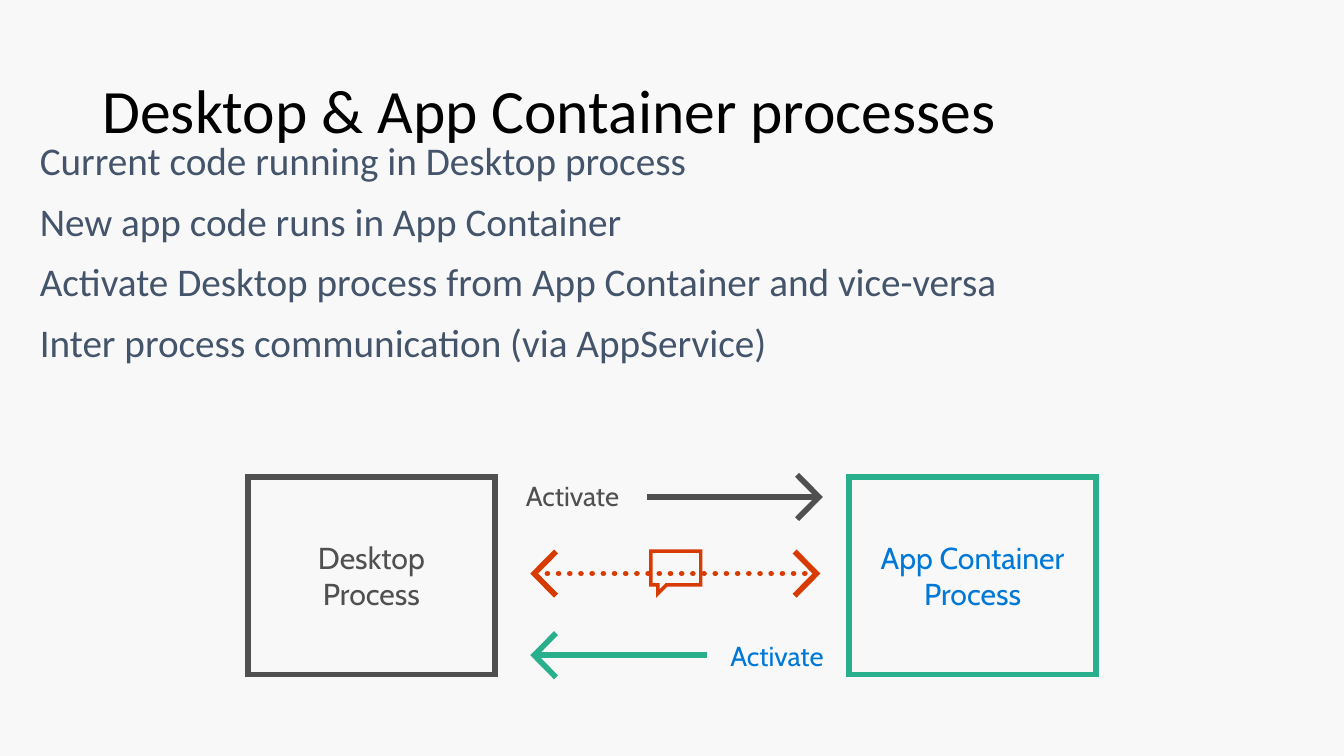
"""Slide on desktop and app container processes that activate each other."""
from lxml.etree import SubElement
from pptx import Presentation
from pptx.dml.color import RGBColor
from pptx.enum.dml import MSO_LINE
from pptx.enum.shapes import MSO_CONNECTOR, MSO_SHAPE
from pptx.enum.text import MSO_ANCHOR, PP_ALIGN
from pptx.oxml.ns import qn
from pptx.util import Pt

GRAY, GREEN, RED, BLUE = "505050", "29AF8C", "D83B01", "0078D7"


def style_font(p, name, size, color):
    for r in p.runs:
        r.font.name = name
        r.font.size = Pt(size)
        r.font.color.rgb = RGBColor.from_string(color)


def style_line(sp, color, dash=None):
    sp.line.color.rgb = RGBColor.from_string(color)
    sp.line.width = Pt(4)
    ln = sp._element.spPr.find(qn("a:ln"))
    if dash:
        sp.line.dash_style = dash
        ln.set("cap", "rnd")
    SubElement(ln, qn("a:miter"), lim="800000")
    SubElement(sp._element.spPr, qn("a:effectLst"))


prs = Presentation()
prs.slide_width, prs.slide_height = Pt(960), Pt(540)
s = prs.slides.add_slide(prs.slide_layouts[1])
s.background.fill.solid()
s.background.fill.fore_color.rgb = RGBColor.from_string("F8F8F8")

title, body = s.placeholders
title.left, title.top, title.width, title.height = Pt(66), Pt(28.8), Pt(828), Pt(104.4)
tf = title.text_frame
tf.text = "Desktop & App Container processes"
tf.vertical_anchor = MSO_ANCHOR.MIDDLE
p = tf.paragraphs[0]
p.alignment = PP_ALIGN.LEFT
p.line_spacing = 0.9
style_font(p, "Calibri", 44, "000000")

body.left, body.top, body.width, body.height = Pt(21.2), Pt(93.6), Pt(926.6), Pt(215.3)
tf = body.text_frame
tf.text = "\n".join([
    "Current code running in Desktop process",
    "New app code runs in App Container",
    "Activate Desktop process from App Container and vice-versa",
    "Inter process communication (via AppService)",
])
for p in tf.paragraphs:
    pPr = p._p.get_or_add_pPr()
    pPr.set("marL", "0")
    pPr.set("indent", "0")
    p.space_before = Pt(0)
    p.space_after = Pt(9.8)
    SubElement(pPr, qn("a:buNone"))
    style_font(p, "Calibri", 28, "44546A")

for x, y, w, h, color in [(361.2, 329.2, 106.6, 49.7, GRAY), (507.3, 442, 98.6, 52.6, BLUE)]:
    tf = s.shapes.add_textbox(Pt(x), Pt(y), Pt(w), Pt(h)).text_frame
    tf.word_wrap = True
    tf.vertical_anchor = MSO_ANCHOR.MIDDLE
    tf.margin_left = tf.margin_right = tf.margin_top = tf.margin_bottom = Pt(14.4)
    tf.text = "Activate"
    style_font(tf.paragraphs[0], "Cabin", 19.6, color)

for x, text, line, color in [(177.1, "Desktop\vProcess", GRAY, GRAY),
                             (606.5, "App Container\vProcess", GREEN, BLUE)]:
    sp = s.shapes.add_shape(MSO_SHAPE.RECTANGLE, Pt(x), Pt(340.6), Pt(176.4), Pt(141.1))
    sp.fill.background()
    style_line(sp, line)
    tf = sp.text_frame
    tf.margin_left = tf.margin_right = 0
    tf.vertical_anchor = MSO_ANCHOR.MIDDLE
    tf.text = text
    p = tf.paragraphs[0]
    p.alignment = PP_ALIGN.CENTER
    style_font(p, "Cabin", 21.6, color)

for y, x1, x2, color, dash, tips in [
    (355, 462.2, 583.2, GRAY, None, [(585, 1)]),
    (468, 383, 504.7, GREEN, None, [(381.6, -1)]),
    (409.7, 391, 575.3, RED, MSO_LINE.ROUND_DOT, [(381.6, -1), (583.2, 1)]),
]:
    cn = s.shapes.add_connector(MSO_CONNECTOR.STRAIGHT, Pt(x1), Pt(y), Pt(x2), Pt(y))
    style_line(cn, color, dash)
    for tip, side in tips:
        back = Pt(tip - side * 15.6)
        fb = s.shapes.build_freeform(back, Pt(y - 15.8))
        fb.add_line_segments([(Pt(tip), Pt(y)), (back, Pt(y + 15.8))], close=False)
        head = fb.convert_to_shape()
        head.fill.background()
        style_line(head, color)

outer = [(463.7, 392.4), (463.7, 419), (468.7, 419), (468.7, 427),
         (476.6, 419), (501.8, 419), (501.8, 392.4)]
inner = [(466.2, 394.9), (499.4, 394.9), (499.4, 416.5), (475.5, 416.5),
         (471.2, 421), (471.2, 416.5), (466.2, 416.5)]
fb = s.shapes.build_freeform(Pt(outer[0][0]), Pt(outer[0][1]))
fb.add_line_segments([(Pt(x), Pt(y)) for x, y in outer[1:]])
fb.move_to(Pt(inner[0][0]), Pt(inner[0][1]))
fb.add_line_segments([(Pt(x), Pt(y)) for x, y in inner[1:]])
bubble = fb.convert_to_shape()
bubble.fill.solid()
bubble.fill.fore_color.rgb = RGBColor.from_string(RED)
bubble.line.fill.background()
bubble.shadow.inherit = False

prs.save("out.pptx")
